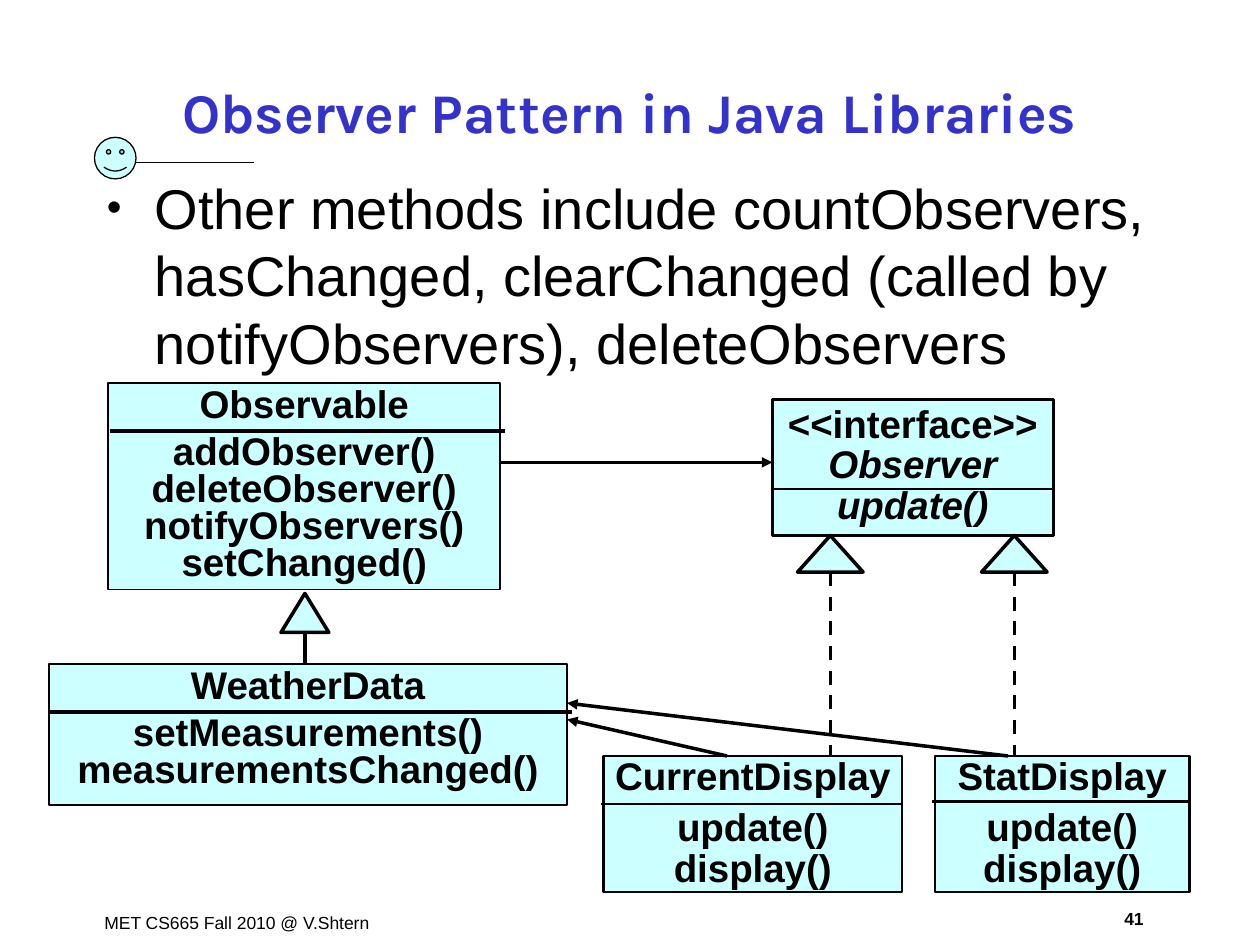
from pptx import Presentation
from pptx.dml.color import RGBColor
from pptx.enum.dml import MSO_LINE
from pptx.enum.shapes import MSO_CONNECTOR, MSO_SHAPE
from pptx.enum.text import MSO_ANCHOR, PP_ALIGN
from pptx.oxml.ns import qn
from pptx.util import Inches, Pt
from lxml import etree

COLORS = {"title": "3333CC", "ink": "000000", "box": "CCFFFF"}

TITLE = "Observer Pattern in Java Libraries"
BULLET = ("Other methods include countObservers, hasChanged, clearChanged "
          "(called by notifyObservers), deleteObservers")
FOOTER = "MET CS665 Fall 2010 @ V.Shtern"
PAGE = "41"

# Class boxes: place, border width, header and method lines, line spacings,
# divider (x1, x2, y), number of the first italic line, anchor, wrapping
CLASSES = [
    dict(at=(0.86, 3.04, 3.11, 1.64), border=1, header=["Observable"],
         methods=["addObserver()", "deleteObserver()", "notifyObservers()", "setChanged()"],
         spacing=(0.8, 0.8), gap=5.5, divider=(0.87, 4.01, 3.42), divider_width=2),
    dict(at=(0.39, 5.27, 4.11, 1.12), border=1, header=["WeatherData"],
         methods=["setMeasurements()", "measurementsChanged()"],
         spacing=(0.8, 0.8), gap=5.5, divider=(0.39, 4.54, 5.65), divider_width=2),
    dict(at=(6.13, 3.17, 2.23, 1.08), border=1.5, header=["<<interface>>", "Observer"],
         methods=["update()"], spacing=(0.85, 0.9), gap=0, italic_from=1, centred=True,
         divider=(6.13, 8.37, 3.88), divider_width=1.5),
    dict(at=(4.79, 6, 2.37, 1.08), border=1.5, header=["CurrentDisplay"],
         methods=["update()", "display()"], spacing=(0.9, 0.9), gap=5.5, centred=True,
         divider=(4.77, 7.16, 6.38), divider_width=1.5),
    dict(at=(7.42, 6, 2.02, 1.08), border=1.5, header=["StatDisplay"],
         methods=["update()", "display()"], spacing=(0.9, 0.9), gap=5.5, centred=True,
         divider=(7.4, 9.43, 6.36), divider_width=1.5),
]

# Inheritance: triangle apex x, top, width, height, stem end y, dashed
INHERITANCE = [
    (2.42, 4.71, 0.38, 0.31, 5.27, False),
    (6.59, 4.25, 0.52, 0.29, 6, True),
    (8.05, 4.25, 0.52, 0.29, 6, True),
]

# Associations: start point, arrow point
ASSOCIATIONS = [
    ((3.98, 3.67), (6.13, 3.67)),
    ((5.77, 6), (4.5, 5.71)),
    ((8, 6), (4.5, 5.58)),
]


def color(name):
    return RGBColor.from_string(COLORS[name])


def style_font(paragraph, size, name="Arial", ink="ink", bold=False, italic=False):
    for run in paragraph.runs:
        font = run.font
        font.size, font.name, font.bold, font.italic = Pt(size), name, bold, italic
        font.color.rgb = color(ink)


def add_figure(slide, kind, at, width):
    figure = slide.shapes.add_shape(kind, *map(Inches, at))
    figure.shadow.inherit = False
    figure.fill.solid()
    figure.fill.fore_color.rgb = color("box")
    figure.line.color.rgb = color("ink")
    figure.line.width = Pt(width)
    return figure


def add_line(slide, start, end, width, dashed=False, arrow=False):
    line = slide.shapes.add_connector(MSO_CONNECTOR.STRAIGHT, *map(Inches, start + end))
    line.line.color.rgb = color("ink")
    line.line.width = Pt(width)
    if dashed:
        line.line.dash_style = MSO_LINE.DASH
    if arrow:
        etree.SubElement(line.line._get_or_add_ln(), qn("a:tailEnd"), type="triangle")
    etree.SubElement(line._element.spPr, qn("a:effectLst"))


def add_label(slide, at, text, size, bold=False, before=0, align=PP_ALIGN.LEFT):
    frame = slide.shapes.add_textbox(*map(Inches, at)).text_frame
    frame.word_wrap = True
    frame.text = text
    paragraph = frame.paragraphs[0]
    paragraph.alignment = align
    paragraph.space_before = Pt(before)
    style_font(paragraph, size, bold=bold)
    return paragraph


def add_bullet(paragraph, indent):
    properties = paragraph._p.get_or_add_pPr()
    properties.set("marL", str(Inches(indent)))
    properties.set("indent", str(-Inches(indent)))
    bullet_color = etree.SubElement(properties, qn("a:buClr"))
    etree.SubElement(bullet_color, qn("a:srgbClr"), val=COLORS["ink"])
    etree.SubElement(properties, qn("a:buSzPct"), val="75000")
    etree.SubElement(properties, qn("a:buFont"), typeface="Arial")
    etree.SubElement(properties, qn("a:buChar"), char="•")


def add_class(slide, item):
    centred = item.get("centred", False)
    frame = add_figure(slide, MSO_SHAPE.RECTANGLE, item["at"], item["border"]).text_frame
    frame.word_wrap = not centred
    frame.vertical_anchor = MSO_ANCHOR.MIDDLE if centred else MSO_ANCHOR.TOP
    header_count = len(item["header"])
    lines = item["header"] + item["methods"]
    frame.text = "\n".join(lines)
    for number, paragraph in enumerate(frame.paragraphs):
        paragraph.alignment = PP_ALIGN.CENTER
        paragraph.line_spacing = item["spacing"][number >= header_count]
        paragraph.space_before = Pt(item["gap"] if number == header_count else 0)
        style_font(paragraph, 22, bold=True,
                   italic=number >= item.get("italic_from", len(lines)))
    x1, x2, y = item["divider"]
    add_line(slide, (x1, y), (x2, y), item["divider_width"])


def main():
    deck = Presentation()
    deck.slide_width, deck.slide_height = Inches(10), Inches(7.5)
    slide = deck.slides.add_slide(deck.slide_layouts[5])

    # Footer, page number and smiley ornament
    add_label(slide, (0.73, 7.19, 2.41, 0.27), FOOTER, 10, before=6.2)
    add_label(slide, (8.73, 7.16, 0.54, 0.27), PAGE, 10, bold=True, before=6.2,
              align=PP_ALIGN.CENTER)
    smiley = add_figure(slide, MSO_SHAPE.SMILEY_FACE, (0.75, 1.09, 0.33, 0.33), 0.75)
    smiley.adjustments[0] = 0.05
    add_line(slide, (1.08, 1.29), (2.02, 1.29), 1)

    # Title
    title = slide.shapes.title
    title.left, title.top, title.width, title.height = map(Inches, (0.75, 0.48, 8.5, 0.8))
    title.text_frame.text = TITLE
    title.text_frame.vertical_anchor = MSO_ANCHOR.MIDDLE
    heading = title.text_frame.paragraphs[0]
    heading.alignment = PP_ALIGN.CENTER
    style_font(heading, 32, name="Karla", ink="title", bold=True)

    # Bullet text
    add_bullet(add_label(slide, (0.75, 1.33, 8.5, 1.75), BULLET, 32, before=8), 0.38)

    # Class diagram
    for item in CLASSES:
        add_class(slide, item)
    for apex, top, width, height, stem_end, dashed in INHERITANCE:
        add_figure(slide, MSO_SHAPE.ISOSCELES_TRIANGLE,
                   (apex - width / 2, top, width, height), 2)
        add_line(slide, (apex, top + height), (apex, stem_end), 2, dashed=dashed)
    for start, end in ASSOCIATIONS:
        add_line(slide, start, end, 2, arrow=True)

    deck.save("out.pptx")


if __name__ == "__main__":
    main()
